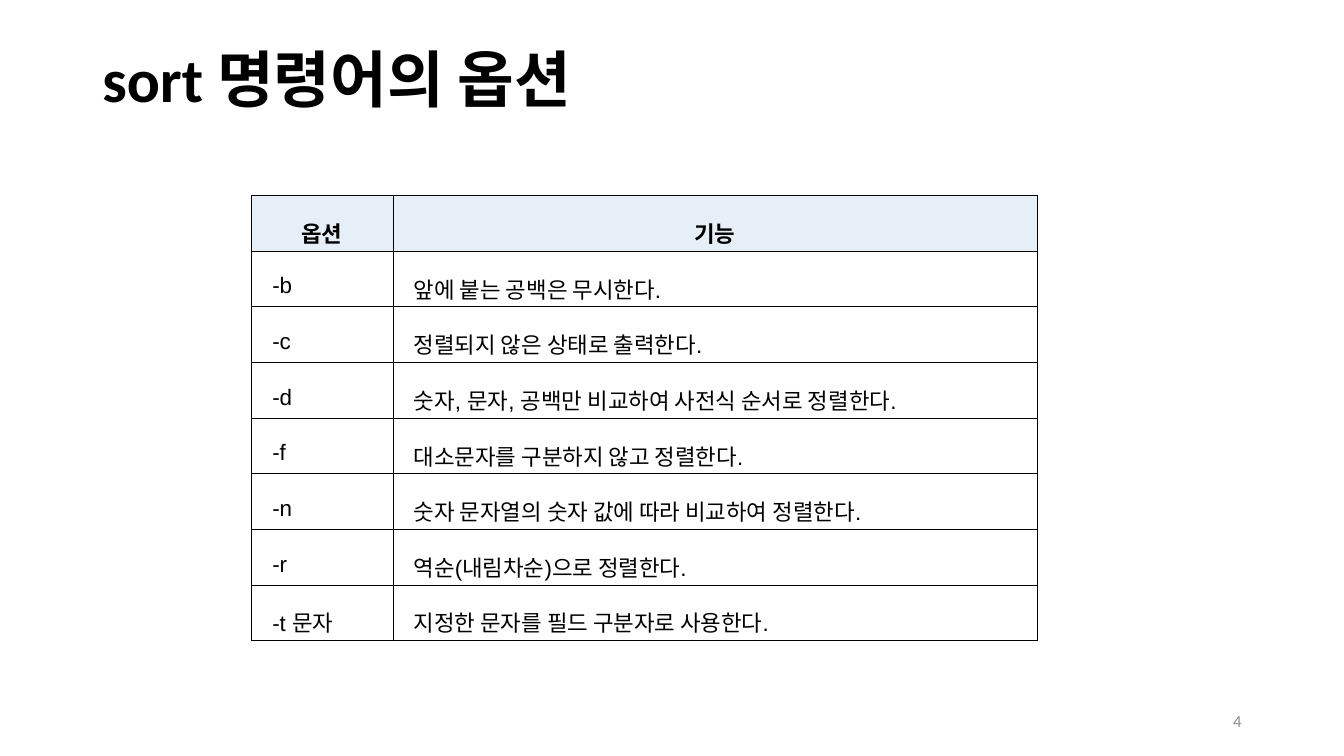
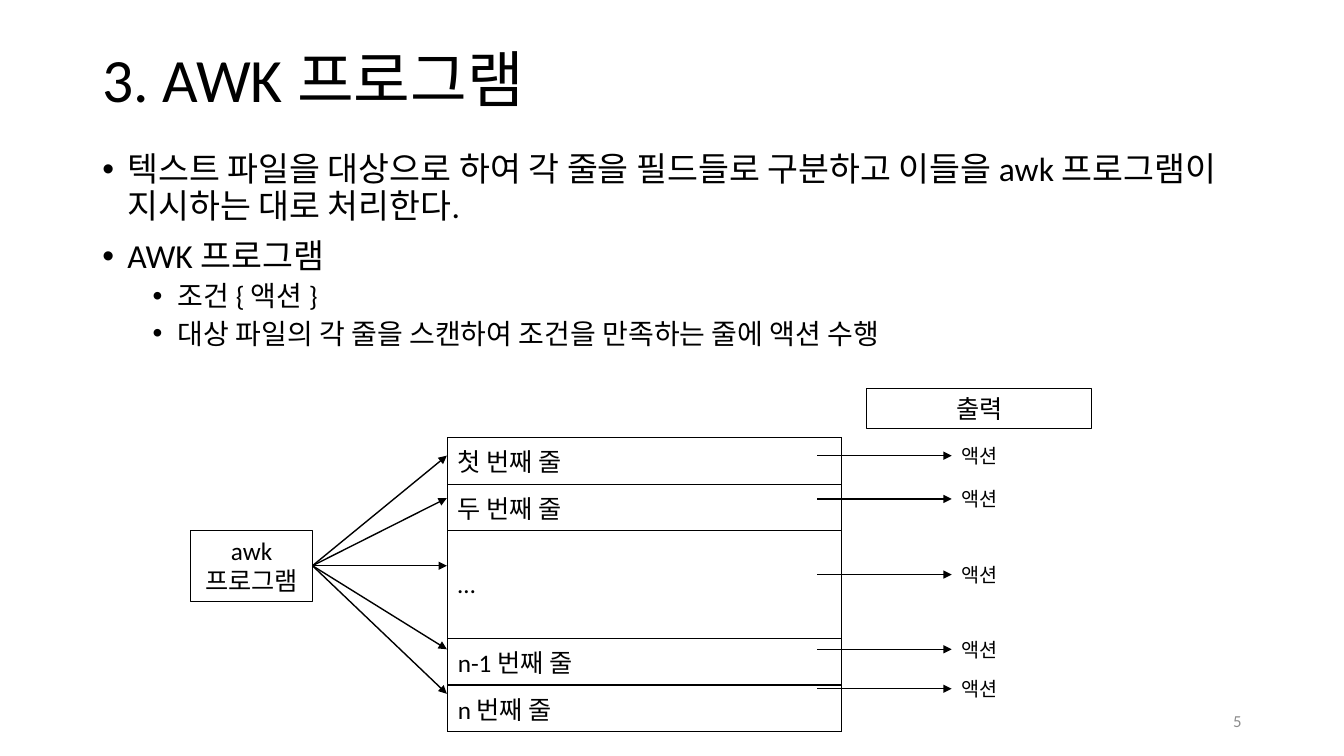
import dataclasses

import lxml.etree
import pptx
import pptx.dml.color
import pptx.enum.shapes
import pptx.enum.text
import pptx.oxml.ns
import pptx.util

COLS, ROWS = 160, 90
CELL = pptx.util.Inches(7.5) // ROWS
ALIGN = pptx.enum.text.PP_ALIGN
MID = pptx.enum.text.MSO_ANCHOR.MIDDLE
RECT = pptx.enum.shapes.MSO_SHAPE.RECTANGLE
STRAIGHT = pptx.enum.shapes.MSO_CONNECTOR.STRAIGHT


@dataclasses.dataclass(frozen=True)
class Theme:
    """Colours, fonts and type sizes of the deck."""
    ink: str = "000000"
    grey: str = "8C8C8C"
    head: str = "E6EEF7"
    font: str = "Calibri"
    grid: str = "Arial"
    title: int = 44
    body: int = 24
    sub: int = 20
    node: int = 18
    cell: int = 16
    label: int = 14
    foot: int = 12


@dataclasses.dataclass(frozen=True)
class Box:
    """A region measured in grid columns and rows."""
    x: float
    y: float
    w: float
    h: float

    def at(self, x, y, w, h):
        """Return a box placed relative to this one."""
        return Box(self.x + x, self.y + y, w, h)

    def emu(self):
        """Return left, top, width and height as lengths."""
        return [round(n * CELL) for n in (self.x, self.y, self.w, self.h)]


THEME = Theme()
PAGE = Box(0, 0, COLS, ROWS)

OPTIONS = [
    ("옵션", "기능"),
    ("-b", "앞에 붙는 공백은 무시한다."),
    ("-c", "정렬되지 않은 상태로 출력한다."),
    ("-d", "숫자, 문자, 공백만 비교하여 사전식 순서로 정렬한다."),
    ("-f", "대소문자를 구분하지 않고 정렬한다."),
    ("-n", "숫자 문자열의 숫자 값에 따라 비교하여 정렬한다."),
    ("-r", "역순(내림차순)으로 정렬한다."),
    ("-t 문자", "지정한 문자를 필드 구분자로 사용한다."),
]
POINTS = [
    (0, "텍스트 파일을 대상으로 하여 각 줄을 필드들로 구분하고 이들을 awk 프로그램이 지시하는 대로 처리한다."),
    (0, "AWK 프로그램"),
    (1, "조건 { 액션 }"),
    (1, "대상 파일의 각 줄을 스캔하여 조건을 만족하는 줄에 액션 수행"),
]
LINES = [
    ("첫 번째 줄", 5.55, 8.05, 8.05),
    ("두 번째 줄", 5.55, 13.1, 13.2),
    ("…", 12.8, 21.15, 22.2),
    ("n-1 번째 줄", 5.55, 31.1, 31.1),
    ("n 번째 줄", 5.55, 36.4, 35.8),
]


def rgb(code):
    """Turn a hex code into a colour."""
    return pptx.dml.color.RGBColor.from_string(code)


def add(node, tag, **attrs):
    """Append a drawing element to a node."""
    return lxml.etree.SubElement(node, pptx.oxml.ns.qn("a:" + tag), attrs)


def style(para, size, color=THEME.ink, font=THEME.font, bold=False,
          align=None, gap=None):
    """Set the look of a whole paragraph."""
    para.font.size = pptx.util.Pt(size)
    para.font.name = font
    para.font.bold = bold
    para.font.color.rgb = rgb(color)
    para.alignment = align
    para.line_spacing = gap


def write(frame, text, size, wrap=True, **look):
    """Fill a frame with middle-anchored text."""
    frame.text = text
    frame.word_wrap = wrap
    frame.vertical_anchor = MID
    for para in frame.paragraphs:
        style(para, size, **look)


def label(slide, box, text, size, **look):
    """Add a text box."""
    write(slide.shapes.add_textbox(*box.emu()).text_frame, text, size, **look)


def node(slide, box, text):
    """Add an outlined rectangle with centred text."""
    shape = slide.shapes.add_shape(RECT, *box.emu())
    shape.shadow.inherit = False
    shape.fill.background()
    shape.line.color.rgb = rgb(THEME.ink)
    shape.line.width = pptx.util.Pt(0.75)
    write(shape.text_frame, text, THEME.node, wrap=False, align=ALIGN.CENTER)
    return shape


def arrow(slide, box, start=None):
    """Draw an arrow across a box, optionally from a shape's right side."""
    x, y, w, h = box.emu()
    line = slide.shapes.add_connector(STRAIGHT, x, y, x + w, y + h)
    if start is not None:
        line.begin_connect(start, 3)
    line.line.color.rgb = rgb(THEME.ink)
    line.line.width = pptx.util.Pt(1)
    add(line.line._get_or_add_ln(), "tailEnd", type="triangle")
    add(line._element.spPr, "effectLst")


def border(cell, width):
    """Rule all four sides of a table cell."""
    props = cell._tc.get_or_add_tcPr()
    for spot, side in enumerate(("lnL", "lnR", "lnT", "lnB")):
        rule = add(props, side, w=str(pptx.util.Pt(width)))
        add(add(rule, "solidFill"), "srgbClr", val=THEME.ink)
        props.insert(spot, rule)


def table(slide, box, widths, heights, rule):
    """Add a plain ruled table and return it."""
    grid = slide.shapes.add_table(len(heights), len(widths), *box.emu()).table
    grid.first_row = grid.horz_banding = False
    for col, width in zip(grid.columns, widths):
        col.width = round(width * CELL)
    for row, height in zip(grid.rows, heights):
        row.height = round(height * CELL)
    for cell in grid.iter_cells():
        cell.fill.background()
        cell.vertical_anchor = MID
        border(cell, rule)
    return grid


def options(slide, box):
    """Place the table of options."""
    count = len(OPTIONS)
    grid = table(slide, box, (box.w * 0.18, box.w * 0.82),
                 [box.h / count] * count, 0.28)
    for r, row in enumerate(OPTIONS):
        for c, text in enumerate(row):
            cell = grid.cell(r, c)
            cell.margin_left = cell.margin_right = pptx.util.Inches(0.07)
            cell.margin_top = cell.margin_bottom = pptx.util.Inches(0.02)
            cell.text = text
            para = cell.text_frame.paragraphs[0]
            style(para, THEME.cell, font=THEME.grid, bold=r == 0, gap=1.6,
                  align=ALIGN.JUSTIFY if r else ALIGN.CENTER)
            if r:
                para._p.get_or_add_pPr().set("marL", str(pptx.util.Inches(0.14)))
            else:
                cell.fill.solid()
                cell.fill.fore_color.rgb = rgb(THEME.head)


def bullets(slide, box):
    """Place the bulleted text."""
    frame = slide.shapes.add_textbox(*box.emu()).text_frame
    frame.word_wrap = True
    frame.text = "\n".join(text for _, text in POINTS)
    for para, (level, _) in zip(frame.paragraphs, POINTS):
        style(para, THEME.sub if level else THEME.body, gap=0.9)
        para.level = level
        para.space_before = pptx.util.Pt(5 if level else 10)
        props = para._p.get_or_add_pPr()
        props.set("marL", str(pptx.util.Inches(0.25 + 0.5 * level)))
        props.set("indent", str(pptx.util.Inches(-0.25)))
        fonts = props.find(pptx.oxml.ns.qn("a:defRPr"))
        fonts.addprevious(add(props, "buFont", typeface="Arial"))
        fonts.addprevious(add(props, "buChar", char="•"))


def flow(slide, box):
    """Place the diagram of lines, program and actions."""
    heights = [line[1] for line in LINES]
    grid = table(slide, box.at(30.6, 5.9, 46.9, sum(heights)),
                 [46.9], heights, 1)
    awk = node(slide, box.at(0, 16.9, 14.5, 8.5), "awk\n프로그램")
    node(slide, box.at(80.5, 0, 26.8, 4.8), "출력")
    for r, (text, _, goal, out) in enumerate(LINES):
        cell = grid.cell(r, 0)
        cell.text = text
        style(cell.text_frame.paragraphs[0], THEME.node)
        arrow(slide, box.at(14.5, 21.15, 16, goal - 21.15), awk)
        arrow(slide, box.at(74.6, out, 16, 0))
        label(slide, box.at(90.6, out - 2.05, 7.1, 4.1), "액션",
              THEME.label, wrap=False)


def page(deck, title, number, bold=False):
    """Add a slide with its title and number."""
    slide = deck.slides.add_slide(deck.slide_layouts[6])
    label(slide, PAGE.at(11, 4.8, 138, 10.1), title, THEME.title,
          bold=bold, gap=0.9)
    label(slide, PAGE.at(113, 83.4, 36, 4.8), number, THEME.foot,
          color=THEME.grey, align=ALIGN.RIGHT)
    return slide


def main():
    """Build and save the deck."""
    deck = pptx.Presentation()
    deck.slide_width, deck.slide_height = COLS * CELL, ROWS * CELL
    options(page(deck, "sort 명령어의 옵션", "4", bold=True),
            PAGE.at(29.9, 23.25, 93.6, 53))
    awk = page(deck, "3. AWK 프로그램", "5")
    bullets(awk, PAGE.at(11, 17.6, 138, 28))
    flow(awk, PAGE.at(22.7, 46.2, 107.3, 41))
    deck.save("out.pptx")


if __name__ == "__main__":
    main()
